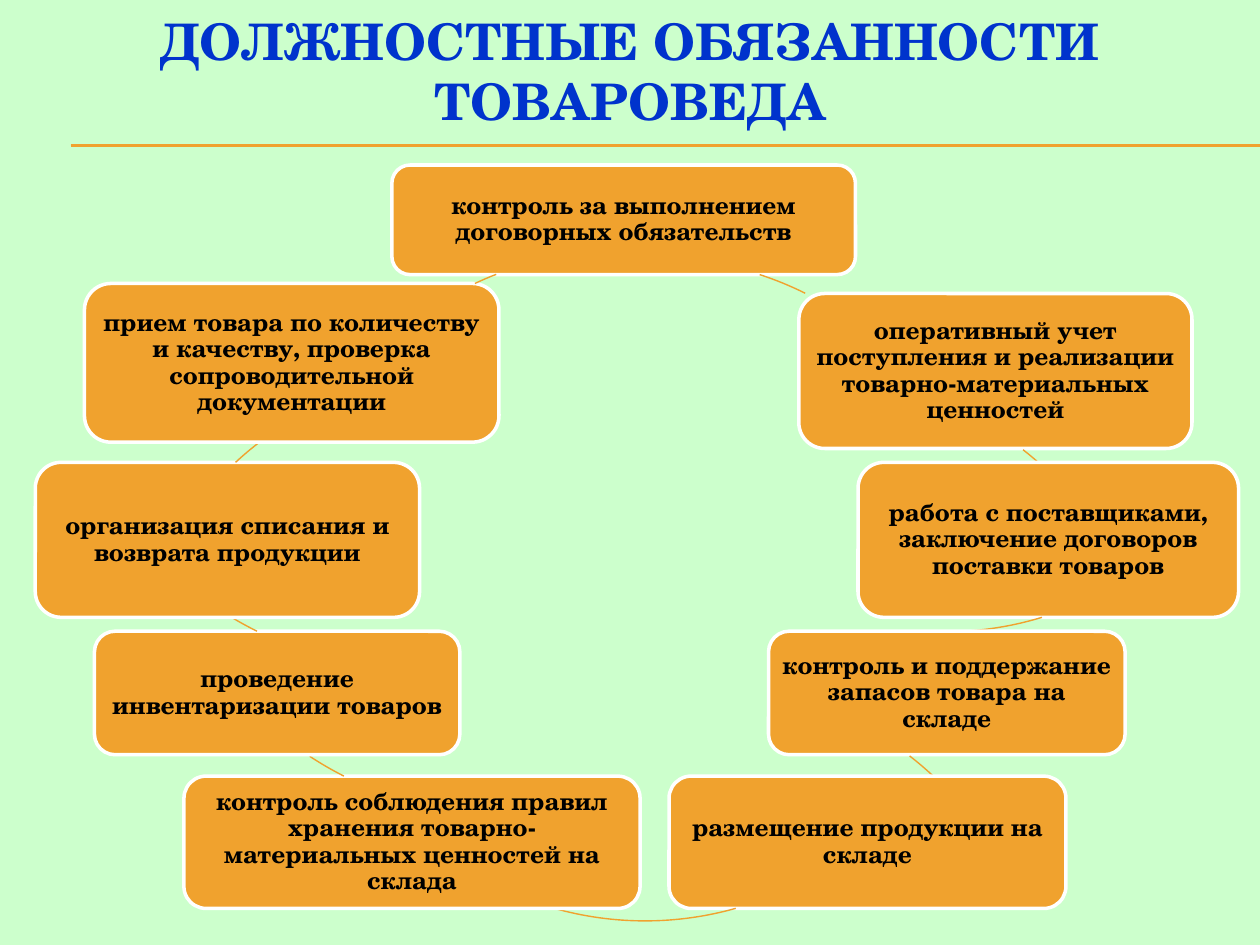
import math
from pptx import Presentation, util as u
from pptx.dml.color import RGBColor
from pptx.enum import shapes, text
from lxml import etree

NS = "{http://schemas.openxmlformats.org/drawingml/2006/main}"
THEME = dict(bg="CCFFCC", accent="F0A22E", edge="FFFFFF", title="0033CC", body="000000",
             font="TeX Gyre Schola", title_size=28.8, body_size=14)
TITLE = "ДОЛЖНОСТНЫЕ ОБЯЗАННОСТИ ТОВАРОВЕДА"
RULES = [1.15, 1.16]
RADIUS = 2.65
DUTIES = [
    ("контроль за выполнением договорных обязательств",
     (3.11, 1.31, 3.68, 0.87), ((2.56, 2.05), (6.03, 2.18), (6.39, 2.33))),
    ("оперативный учет поступления и реализации товарно-материальных ценностей",
     (6.34, 2.33, 3.12, 1.23), ((3.84, 3), (8.12, 3.57), (8.25, 3.67))),
    ("работа с поставщиками, заключение договоров поставки товаров",
     (6.81, 3.67, 3.02, 1.23), ((4.85, -0.28), (8.27, 4.9), (7.7, 5.01))),
    ("контроль и поддержание запасов товара на складе",
     (6.1, 5.01, 2.83, 0.98), ((2.95, 5.44), (7.22, 6), (7.41, 6.16))),
    ("размещение продукции на складе",
     (5.31, 6.16, 3.15, 1.05), ((2.47, 2.01), (5.84, 7.21), (4.4, 7.21))),
    ("контроль соблюдения правил хранения товарно-материальных ценностей на склада",
     (1.46, 6.16, 3.62, 1.05), ((1.27, 1.14), (2.73, 6.16), (2.46, 6))),
    ("проведение инвентаризации товаров",
     (0.75, 5.01, 2.9, 0.98), ((0.56, -0.02), (2.04, 5.01), (1.85, 4.9))),
    ("организация списания и возврата продукции",
     (0.28, 3.67, 3.05, 1.23), ((1.02, 2.96), (1.87, 3.67), (2.06, 3.51))),
    ("прием товара по количеству и качеству, проверка сопроводительной документации",
     (0.67, 2.25, 3.29, 1.26), ((2.25, 2), (3.77, 2.25), (3.94, 2.18))),
]


def rgb(key):
    return RGBColor.from_string(THEME[key])


def set_line(sp, color, width):
    sp.line.color.rgb = rgb(color)
    sp.line.width = u.Pt(width)


def write(sp, content, color, size, inset, spacing=1.0):
    tf = sp.text_frame
    tf.word_wrap = True
    tf.auto_size = text.MSO_AUTO_SIZE.NONE
    tf.vertical_anchor = text.MSO_ANCHOR.MIDDLE
    tf.margin_left = tf.margin_right = tf.margin_top = tf.margin_bottom = u.Inches(inset)
    p = tf.paragraphs[0]
    p.alignment = text.PP_ALIGN.CENTER
    p.line_spacing = spacing
    p.space_before = u.Pt(0)
    r = p.add_run()
    r.text = content
    r.font.name = THEME["font"]
    r.font.size = u.Pt(THEME[size])
    r.font.bold = True
    r.font.color.rgb = rgb(color)


def add_rule(s, y):
    sp = s.shapes.add_connector(shapes.MSO_CONNECTOR.STRAIGHT,
                                u.Inches(0.56), u.Inches(y), u.Inches(10), u.Inches(y))
    set_line(sp, "accent", 0.75)
    etree.SubElement(sp._element.spPr, NS + "effectLst")


def add_box(s, content, at):
    sp = s.shapes.add_shape(shapes.MSO_SHAPE.ROUNDED_RECTANGLE, *map(u.Inches, at))
    sp.shadow.inherit = False
    sp.fill.solid()
    sp.fill.fore_color.rgb = rgb("accent")
    set_line(sp, "edge", 2)
    write(sp, content, "body", "body_size", 0.06, 0.9)


def add_arc(s, corner, start, end):
    left, top = corner
    first, last = (math.degrees(math.atan2(y - top - RADIUS, x - left - RADIUS))
                   for x, y in (start, end))
    fb = s.shapes.build_freeform(u.Inches(left), u.Inches(top))
    fb.add_line_segments([(u.Inches(left + 2 * RADIUS), u.Inches(top + 2 * RADIUS))], close=False)
    sp = fb.convert_to_shape()
    outline = sp._element.xpath(".//a:path")[0]
    for child in list(outline):
        outline.remove(child)
    move = etree.SubElement(outline, NS + "moveTo")
    etree.SubElement(move, NS + "pt", x=str(u.Inches(start[0] - left)),
                     y=str(u.Inches(start[1] - top)))
    radius = str(u.Inches(RADIUS))
    etree.SubElement(outline, NS + "arcTo", wR=radius, hR=radius,
                     stAng=str(round(first % 360 * 60000)),
                     swAng=str(round((last - first) % 360 * 60000)))
    sp.shadow.inherit = False
    sp.fill.background()
    set_line(sp, "accent", 0.79)


def main():
    prs = Presentation()
    prs.slide_width, prs.slide_height = u.Inches(10), u.Inches(7.5)
    s = prs.slides.add_slide(prs.slide_layouts[5])
    s.background.fill.solid()
    s.background.fill.fore_color.rgb = rgb("bg")
    title = s.shapes.title
    title.left, title.top, title.width, title.height = map(u.Inches, (0, 0, 10, 1.12))
    write(title, TITLE, "title", "title_size", 0.05)
    for y in RULES:
        add_rule(s, y)
    for content, at, arc in DUTIES:
        add_box(s, content, at)
        add_arc(s, *arc)
    prs.save("out.pptx")


if __name__ == "__main__":
    main()
